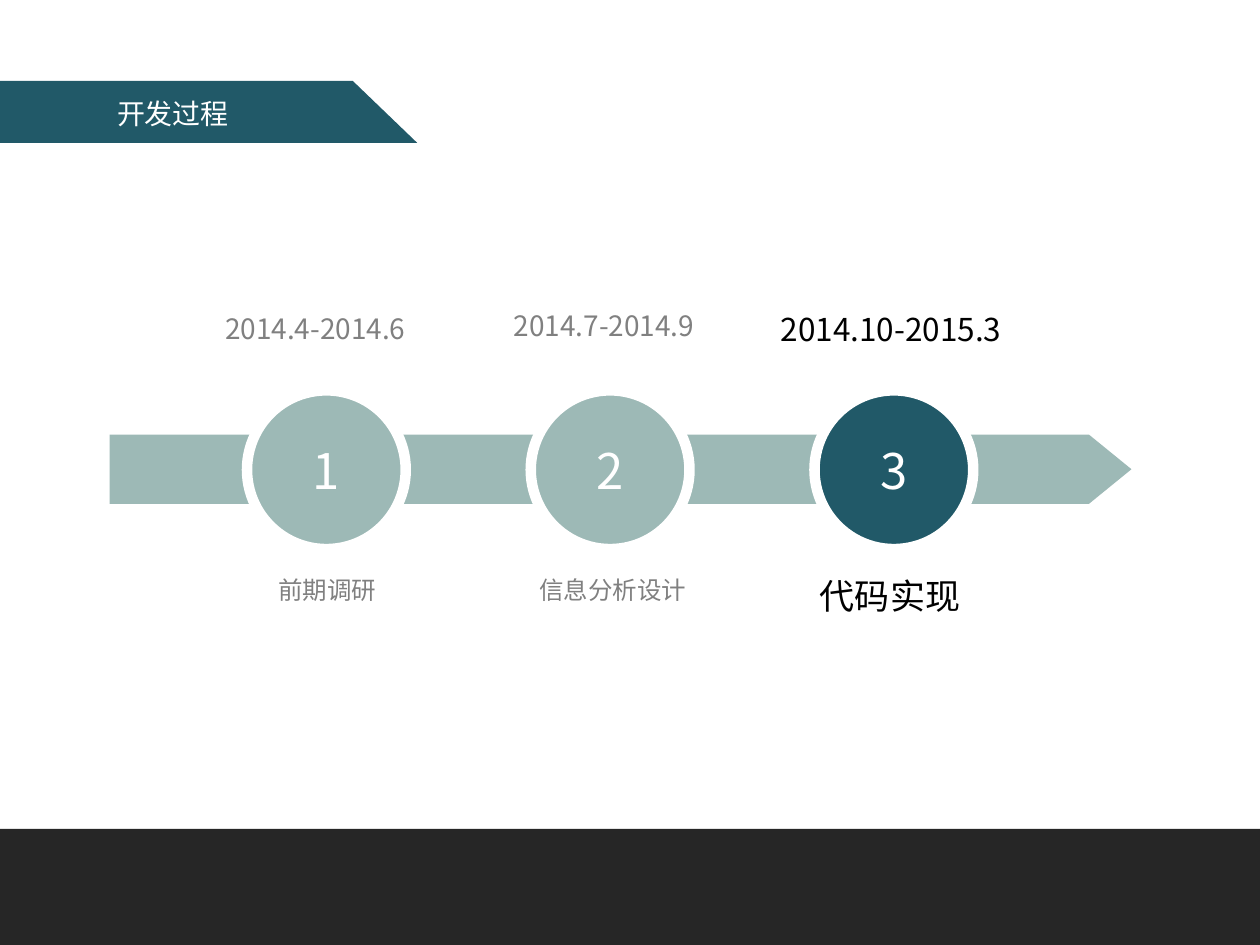
"""Build a timeline slide of three development stages."""
from lxml import etree
from pptx import Presentation
from pptx.dml.color import RGBColor
from pptx.enum.shapes import MSO_SHAPE
from pptx.enum.text import MSO_ANCHOR, MSO_AUTO_SIZE, PP_ALIGN
from pptx.oxml.ns import qn
from pptx.util import Cm, Pt

RECT, OVAL = MSO_SHAPE.RECTANGLE, MSO_SHAPE.OVAL
MIDDLE, FIT = MSO_ANCHOR.MIDDLE, MSO_AUTO_SIZE.SHAPE_TO_FIT_TEXT
LEFT, CENTER, JUSTIFY = PP_ALIGN.LEFT, PP_ALIGN.CENTER, PP_ALIGN.JUSTIFY

COLORS = {
    "teal": "215968",
    "sage": "9DB9B6",
    "dark": "262626",
    "white": "FFFFFF",
    "gray": "808080",
    "black": "000000",
}
FIRST_LEFT, PITCH, CIRCLE_TOP, DIAMETER = 4.98, 5.72, 7.87, 3.2
STAGES = [
    ("sage", "gray",
     ("2014.4-2014.6", (4.29, 6.15, 4.22, 0.94), 16),
     ("前期调研", (5.36, 11.46, 2.51, 0.86), 14)),
    ("sage", "gray",
     ("2014.7-2014.9", (10.11, 6.1, 4.22, 0.94), 16),
     ("信息分析设计", (10.62, 11.46, 3.51, 0.86), 14)),
    ("teal", "black",
     ("2014.10-2015.3", (15.49, 6.12, 5, 1.02), 18),
     ("代码实现", (16.28, 11.46, 3.35, 1.12), 20)),
]


class SlideBuilder:
    def __init__(self, slide, font):
        self.s = slide
        self.font = font

    def color(self, name):
        return RGBColor.from_string(COLORS[name])

    def paint(self, sp, fill, line=None):
        sp.shadow.inherit = False
        sp.fill.solid()
        sp.fill.fore_color.rgb = self.color(fill)
        if line:
            sp.line.color.rgb = self.color(line)
            sp.line.width = Pt(6)
        else:
            sp.line.fill.background()
        return sp

    def add_text(self, tf, text, size, color, align):
        p = tf.paragraphs[0]
        p.alignment = align
        r = p.add_run()
        r.text = text
        for key, value in {"name": self.font, "size": Pt(size)}.items():
            setattr(r.font, key, value)
        r.font.color.rgb = self.color(color)
        ea = etree.SubElement(r.font._element, qn("a:ea"))
        ea.set("typeface", self.font)

    def shape(self, kind, box, fill, line=None):
        sp = self.s.shapes.add_shape(kind, *map(Cm, box))
        return self.paint(sp, fill, line)

    def outline(self, points, fill):
        start, *rest = [(Cm(x), Cm(y)) for x, y in points]
        fb = self.s.shapes.build_freeform(*start)
        fb.add_line_segments(rest, close=True)
        return self.paint(fb.convert_to_shape(), fill)

    def circle(self, left, number, fill):
        sp = self.shape(OVAL, (left, CIRCLE_TOP, DIAMETER, DIAMETER), fill, "white")
        sp.text_frame.vertical_anchor = MIDDLE
        self.add_text(sp.text_frame, number, 28, "white", CENTER)

    def label(self, text, box, size, color, align=LEFT):
        tf = self.s.shapes.add_textbox(*map(Cm, box)).text_frame
        for key, value in {"word_wrap": False, "auto_size": FIT}.items():
            setattr(tf, key, value)
        self.add_text(tf, text, size, color, align)


def main():
    prs = Presentation()
    prs.slide_width, prs.slide_height = Cm(25.4), Cm(19.05)
    s = SlideBuilder(prs.slides.add_slide(prs.slide_layouts[6]), "Noto Sans CJK SC")

    s.shape(RECT, (0, 16.71, 25.4, 2.34), "dark")
    s.outline([(0, 1.63), (7.11, 1.63), (8.41, 2.88), (0, 2.88)], "teal")
    s.label("开发过程", (2.11, 1.83, 2.79, 0.94), 16, "white")
    s.outline([(2.21, 8.76), (21.95, 8.76), (22.81, 9.46), (21.95, 10.16),
               (2.21, 10.16)], "sage")

    for i, (fill, ink, date, task) in enumerate(STAGES):
        s.circle(FIRST_LEFT + i * PITCH, str(i + 1), fill)
        s.label(*date, ink)
        s.label(*task, ink, JUSTIFY)

    prs.save("out.pptx")


if __name__ == "__main__":
    main()
